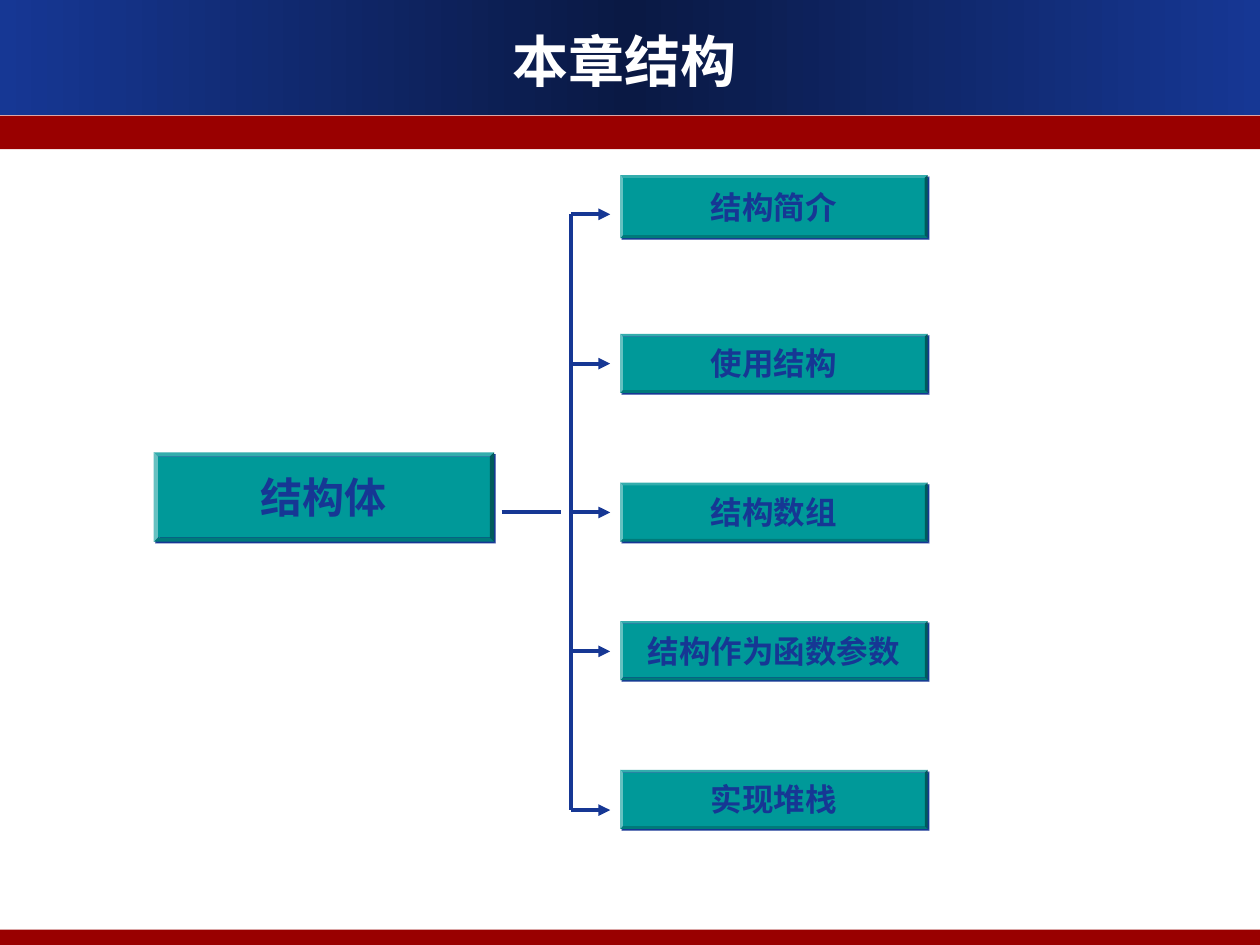
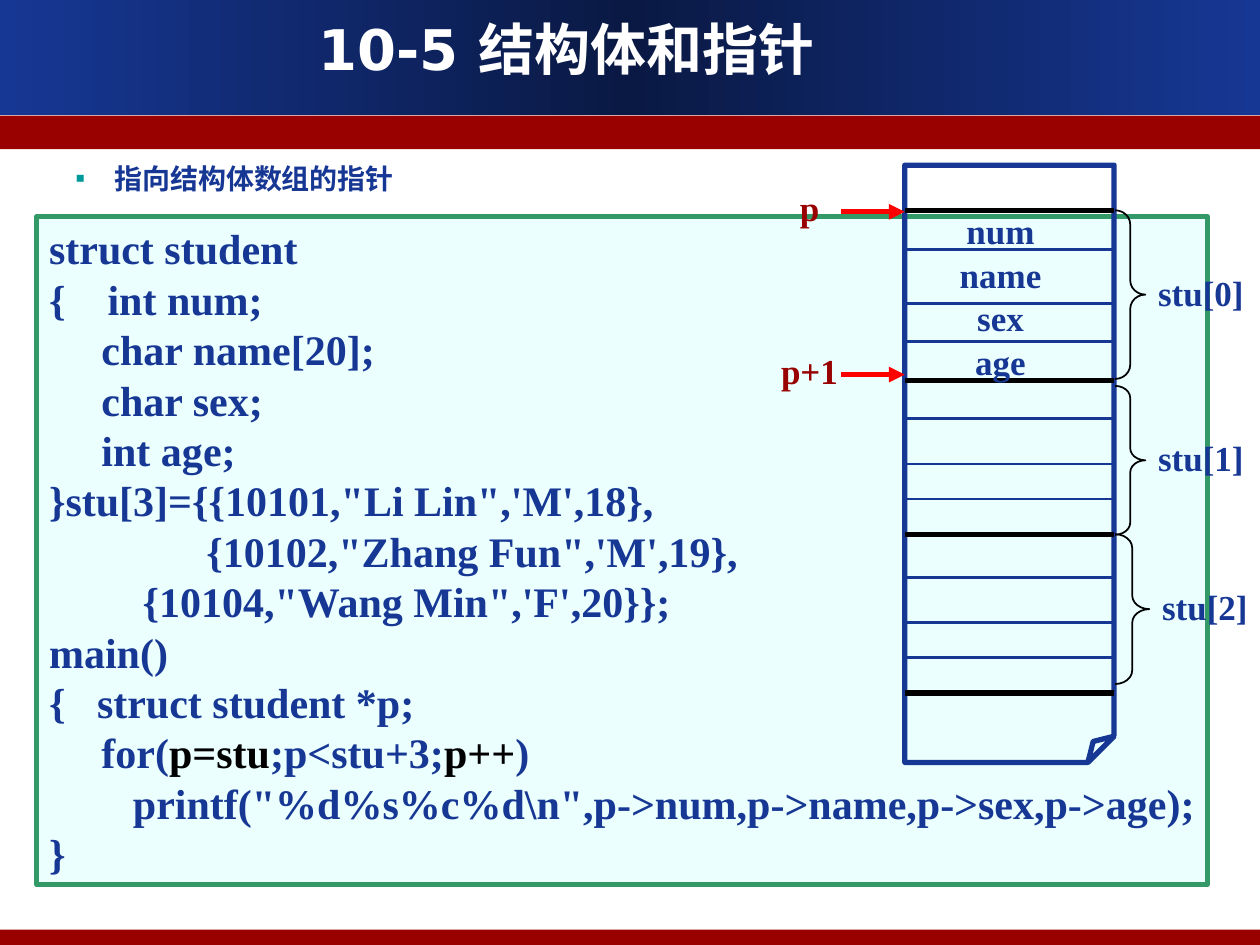
import copy

import pptx
import pptx.dml.color
import pptx.enum.shapes
import pptx.enum.text
import pptx.oxml
import pptx.oxml.ns
import pptx.util

Cm = pptx.util.Cm
Pt = pptx.util.Pt
qn = pptx.oxml.ns.qn
SHAPE = pptx.enum.shapes.MSO_SHAPE
ALIGN = pptx.enum.text.PP_ALIGN
ANCHOR = pptx.enum.text.MSO_ANCHOR

BLUE, NIGHT, RED, TEAL = "163794", "0A1944", "990000", "009999"
WHITE, BLACK, ARROW_RED = "FFFFFF", "000000", "FF0000"
MINT, GREEN = "EBFFFF", "339966"
CJK_FONT, TITLE_FONT, CODE_FONT = "Noto Sans CJK SC", "DejaVu Sans", "Times New Roman"

CHAPTERS = [
    ("结构简介", 0, 1.27, 0.79),
    ("使用结构", 3.2, 1.19, 3.8),
    ("结构数组", 6.2, 1.19, 6.8),
    ("结构作为函数参数", 8.99, 1.19, 9.6),
    ("实现堆栈", 11.99, 1.19, 12.8),
]
CODE = [
    "struct student",
    "{    int num;",
    "     char name[20];",
    "     char sex;",
    "     int age;",
    "}stu[3]={{10101,\"Li Lin\",'M',18},",
    "               {10102,\"Zhang Fun\",'M',19},",
    "\t   {10104,\"Wang Min\",'F',20}};",
    "main()",
    "{   struct student *p;",
    [("     for(", BLUE), ("p=stu", BLACK), (";p<stu+3;", BLUE), ("p++", BLACK), (")", BLUE)],
    "        printf(\"%d%s%c%d\\n\",p->num,p->name,p->sex,p->age);",
    "}",
]
ROW_LINES = [0.91, 1.7, 2.79, 3.56, 4.34, 5.11, 6.02, 6.73, 7.44, 8.31, 9.22, 9.93, 10.64]
FIELDS = [("num", 1.88), ("name", 2.16), ("sex", 1.45), ("age", 1.52)]
ELEMENTS = [
    ("stu[0]", 0.91, 0.61, 3.4, 0.47),
    ("stu[1]", 4.45, 0.61, 3, 0.4),
    ("stu[2]", 7.44, 0.69, 3.02, 0.4),
]
POINTERS = [("p", 0.94, 0.89), ("p+1", 4.22, 1.65)]


def rgb(value):
    return pptx.dml.color.RGBColor.from_string(value)


def add_xml(parent, tag, **attributes):
    child = pptx.oxml.parse_xml(f"<{tag} {pptx.oxml.ns.nsdecls('a')}/>")
    for name, value in attributes.items():
        child.set(name, str(value))
    parent.append(child)
    return child


def place(shape, left, top, width, height):
    shape.left, shape.top, shape.width, shape.height = map(Cm, (left, top, width, height))


def write(shape, lines, size, font=CODE_FONT, color=BLUE, align=ALIGN.CENTER,
          anchor=ANCHOR.MIDDLE, wrap=False, tab=None):
    frame = shape.text_frame
    frame.auto_size = pptx.enum.text.MSO_AUTO_SIZE.NONE
    frame.word_wrap = wrap
    frame.vertical_anchor = anchor
    frame.margin_left = frame.margin_right = Cm(0.25)
    frame.margin_top = frame.margin_bottom = Cm(0.13)
    for number, line in enumerate(lines):
        paragraph = frame.add_paragraph() if number else frame.paragraphs[0]
        if tab:
            stops = add_xml(paragraph._p.get_or_add_pPr(), "a:tabLst")
            add_xml(stops, "a:tab", pos=Cm(tab), algn="l")
        paragraph.alignment = align
        paragraph.space_before = Pt(0)
        for text, run_color in [(line, color)] if isinstance(line, str) else line:
            run = paragraph.add_run()
            run.text = text
            run.font.size = Pt(size)
            run.font.bold = True
            run.font.name = font
            run.font.color.rgb = rgb(run_color)
            add_xml(run._r.get_or_add_rPr(), "a:ea", typeface=CJK_FONT)


def add_block(slide, preset, left, top, width, height, fill=None, line=None, weight=1):
    block = slide.shapes.add_shape(preset, *map(Cm, (left, top, width, height)))
    block.shadow.inherit = False
    if fill:
        block.fill.solid()
        block.fill.fore_color.rgb = rgb(fill)
    else:
        block.fill.background()
    if line:
        block.line.color.rgb = rgb(line)
        block.line.width = Pt(weight)
    else:
        block.line.fill.background()
    return block


def add_line(slide, x1, y1, x2, y2, color=BLUE, weight=2.25, arrow=False):
    line = slide.shapes.add_connector(
        pptx.enum.shapes.MSO_CONNECTOR.STRAIGHT, *map(Cm, (x1, y1, x2, y2)))
    line.line.color.rgb = rgb(color)
    line.line.width = Pt(weight)
    if arrow:
        add_xml(line.line._get_or_add_ln(), "a:tailEnd", type="triangle")
    add_xml(line.element.spPr, "a:effectLst")


def add_label(slide, text, left, top, width, color=BLUE):
    label = slide.shapes.add_textbox(*map(Cm, (left, top, width, 1.12)))
    write(label, [text], 20, color=color)


def add_bands(prs, slide):
    header = add_block(slide, SHAPE.RECTANGLE, 0, 0, 25.4, 2.32, fill=BLUE)
    header.fill.gradient()
    header.fill.gradient_angle = 0
    stop_list = next(header.element.iter(qn("a:gsLst")))
    stop_list.append(copy.deepcopy(stop_list[0]))
    stops = zip(header.fill.gradient_stops, (0, 0.5, 1), (BLUE, NIGHT, BLUE))
    for stop, position, color in stops:
        stop.position = position
        stop.color.rgb = rgb(color)
    stripe = add_block(slide, SHAPE.RECTANGLE, 0, 2.33, 25.4, 0.68, fill=RED)
    footer = add_block(slide, SHAPE.RECTANGLE, 0, 18.74, 25.4, 0.32, fill=RED)
    master_tree = prs.slide_master.shapes.element
    for index, band in enumerate((header, stripe, footer)):
        next(band.element.iter(qn("p:cNvPr"))).set("id", str(101 + index))
        master_tree.insert(2 + index, band.element)


def set_title(slide, text, *box):
    place(slide.shapes.title, *box)
    write(slide.shapes.title, [text], 32, font=TITLE_FONT, color=WHITE, wrap=True)


def add_topic(slide, text, left, top, width, height, size):
    topic = add_block(slide, SHAPE.BEVEL, left, top, width, height, fill=TEAL)
    topic.adjustments[0] = 0.047
    effects = topic.element.spPr.find(qn("a:effectLst"))
    shadow = add_xml(effects, "a:outerShdw", blurRad=0, dist=Pt(1.4), dir=45 * 60000,
                     algn="ctr", rotWithShape=0)
    add_xml(shadow, "a:srgbClr", val=BLUE)
    write(topic, [text], size, font=CJK_FONT)


def add_chapter_tree(slide, left, top):
    trunk = left + 8.41
    add_topic(slide, "结构体", left, top + 5.59, 6.86, 1.8, 24)
    add_line(slide, left + 7.01, top + 6.8, left + 8.2, top + 6.8)
    add_line(slide, trunk, top + CHAPTERS[0][3], trunk, top + CHAPTERS[-1][3])
    for text, offset, height, arrow_y in CHAPTERS:
        add_topic(slide, text, left + 9.4, top + offset, 6.2, height, 18)
        add_line(slide, trunk, top + arrow_y, left + 9.2, top + arrow_y, arrow=True)


def set_bullet(body, text, *box):
    place(body, *box)
    paragraph = body.text_frame.paragraphs[0]
    paragraph.level = 1
    properties = paragraph._p.get_or_add_pPr()
    properties.set("marL", str(Cm(2.06)))
    properties.set("indent", str(Cm(-0.79)))
    add_xml(add_xml(properties, "a:buClr"), "a:srgbClr", val=TEAL)
    add_xml(properties, "a:buFont", typeface="Arial")
    add_xml(properties, "a:buChar", char="▪")
    write(body, [text], 16, font="Arial", align=ALIGN.LEFT, anchor=ANCHOR.TOP, wrap=True)


def add_code_panel(slide, *box):
    panel = add_block(slide, SHAPE.RECTANGLE, *box, fill=MINT, line=GREEN, weight=3)
    write(panel, CODE, 24, align=ALIGN.LEFT, tab=1.25)


def add_memory_sheet(slide, left, top, width, height):
    sheet = add_block(slide, SHAPE.FOLDED_CORNER, left, top, width, height, line=BLUE, weight=3)
    fold = next(sheet.element.iter(qn("a:avLst")))
    add_xml(fold, "a:gd", name="adj", fmla="val 12500")
    for index, offset in enumerate(ROW_LINES):
        color, weight = (BLUE, 1.5) if index % 4 else (BLACK, 3)
        add_line(slide, left, top + offset, left + width, top + offset, color, weight)
    for index, (field, label_width) in enumerate(FIELDS):
        add_label(slide, field, left + 1.93 - label_width / 2, top + 0.76 + index * 0.88,
                  label_width)
    for element, offset, brace_width, brace_height, curl in ELEMENTS:
        brace_left = left + width + 0.02
        brace = add_block(slide, SHAPE.RIGHT_BRACE, brace_left, top + offset,
                          brace_width, brace_height, line=BLACK)
        brace.adjustments[0] = curl
        add_label(slide, element, brace_left + brace_width,
                  top + offset + brace_height / 2 - 0.61, 2.24)
    for pointer, offset, label_width in POINTERS:
        add_line(slide, left - 1.28, top + offset, left, top + offset, ARROW_RED, 3, arrow=True)
        add_label(slide, pointer, left - 1.92 - label_width / 2, top + offset - 0.64,
                  label_width, color=RED)


def build_structure_slide(prs):
    slide = prs.slides.add_slide(prs.slide_layouts[5])
    add_bands(prs, slide)
    set_title(slide, "本章结构", 0.84, 0.41, 23.5, 1.6)
    add_chapter_tree(slide, 3.1, 3.53)


def build_pointer_slide(prs):
    slide = prs.slides.add_slide(prs.slide_layouts[1])
    set_title(slide, "10-5 结构体和指针", 0, 0, 22.86, 1.96)
    set_bullet(slide.placeholders[1], "指向结构体数组的指针", 0, 3.12, 23.9, 1.4)
    add_code_panel(slide, 0.74, 4.37, 23.6, 13.46)
    add_memory_sheet(slide, 18.24, 3.33, 4.22, 12.04)


def main():
    prs = pptx.Presentation()
    prs.slide_width, prs.slide_height = Cm(25.4), Cm(19.05)
    build_structure_slide(prs)
    build_pointer_slide(prs)
    prs.save("out.pptx")


if __name__ == "__main__":
    main()
